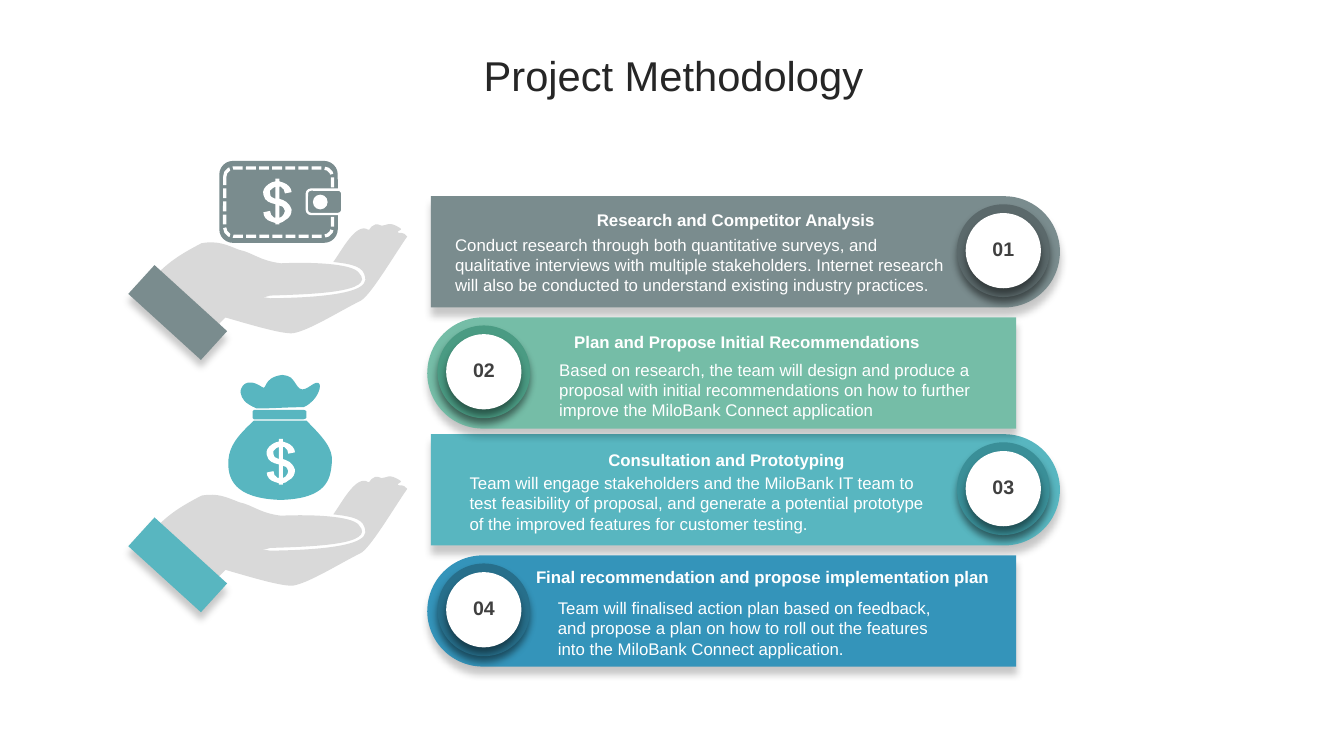
from dataclasses import dataclass
from lxml.etree import SubElement
from pptx import Presentation
from pptx.dml.color import RGBColor
from pptx.enum.dml import MSO_LINE
from pptx.enum.shapes import MSO_SHAPE
from pptx.enum.text import MSO_ANCHOR, MSO_AUTO_SIZE, PP_ALIGN
from pptx.oxml.ns import qn
from pptx.shapes.autoshape import Shape
from pptx.slide import Slide
from pptx.util import Pt


@dataclass(frozen=True)
class Theme:
    font: str = "Arial"
    title_size: float = 22.3
    text_size: float = 9
    number_size: float = 10.5
    title: str = "262626"
    number: str = "404040"
    white: str = "FFFFFF"
    hand: str = "D9D9D9"
    gray: str = "7A8C8E"
    gray_dark: str = "5B696B"
    green: str = "75BDA7"
    green_dark: str = "4A9B83"
    teal: str = "58B6C0"
    teal_dark: str = "3A8F98"
    blue: str = "3494BA"
    blue_dark: str = "276F8B"


@dataclass(frozen=True)
class Box:
    left: float
    top: float
    width: float
    height: float


@dataclass(frozen=True)
class Side:
    bar_center: float
    bar_length: float
    badge_center: float
    rotation: float


@dataclass(frozen=True)
class Step:
    number: str
    side: Side
    center: float
    color: str
    dark: str
    heading: str
    heading_box: Box
    heading_align: PP_ALIGN
    body: str
    body_box: Box


THEME = Theme()
RIGHT = Side(399.3, 337, 537.5, 90)
LEFT = Side(386.6, 315.4, 259.2, 270)
BAR_HEIGHT = 59.6
PATH_UNIT = 0.72
HAND_GAP = 135.2

STEPS = [
    Step("03", RIGHT, 262.4, THEME.teal, THEME.teal_dark,
         "Consultation and Prototyping", Box(196.6, 237.6, 262.8, 18), PP_ALIGN.RIGHT,
         "Team will engage stakeholders and the MiloBank IT team to test feasibility of proposal, "
         "and generate a potential prototype of the improved features for customer testing.",
         Box(244.5, 249.8, 259.2, 40.3)),
    Step("01", RIGHT, 134.9, THEME.gray, THEME.gray_dark,
         "Research and Competitor Analysis", Box(253, 108.7, 222.5, 18), PP_ALIGN.RIGHT,
         "Conduct research through both quantitative surveys, and qualitative interviews with "
         "multiple stakeholders. Internet research will also be conducted to understand existing "
         "industry practices.",
         Box(236.7, 122.1, 280.1, 40.3)),
    Step("04", LEFT, 327.3, THEME.blue, THEME.blue_dark,
         "Final recommendation and propose implementation plan",
         Box(280.1, 300.2, 259.2, 18), PP_ALIGN.LEFT,
         "Team will finalised action plan based on feedback, and propose a plan on how to roll "
         "out the features into the MiloBank Connect application.",
         Box(291.8, 316.8, 218.9, 40.3)),
    Step("02", LEFT, 199.8, THEME.green, THEME.green_dark,
         "Plan and Propose Initial Recommendations",
         Box(300.5, 174.2, 222.5, 18), PP_ALIGN.LEFT,
         "Based on research, the team will design and produce a proposal with initial "
         "recommendations on how to further improve the MiloBank Connect application",
         Box(292.5, 189, 236.2, 40.3)),
]

ARM = ["209 196, 231 195 262 196 267 203, 281 218 230 219 201 220, 195 222 184 223 179 225, "
       "165 239, 151 254, 105 214, 122 201 121 196 150 181, 162 179 168 182 178 186, "
       "188 188 193 194 209 196"]
PALM = ["248 195, 254 187 265 165 274 171, 275 173 276 164 284 168, 288 168 289 164 298 170, "
        "300 171 295 172 296 173, 297 174 300 172 303 176, 292 192 275 221 268 224, "
        "252 232 230 246 218 248, 207 249 169 236 145 230, 147 226 168 216 201 222, "
        "282 221 272 208 271 204, 269 197 256 196 248 195"]
DOLLAR = ["205 148, 205 139, 204 139 204 139 203 140, 201 141 200 143 201 144, "
          "201 147 203 147 205 148",
          "208 162, 208 162 209 162 210 161, 211 160 212 158 212 157, 211 154 210 153 208 153",
          "208 167, 205 167, 205 166, 204 166 203 165 202 165, 198 164 196 161 196 158, "
          "201 157, 201 159 202 161 204 162, 204 162 204 162 205 162, 205 152, "
          "201 151 197 150 196 145, 195 142 197 139 200 137, 202 136 203 135 205 135, "
          "205 133, 208 133, 208 135, 209 135 210 135 211 136, 214 137 217 140 217 143, "
          "212 144, 212 142 211 140 209 139, 208 139 208 139 208 139, 208 148, "
          "211 149 215 150 217 156, 217 159 216 162 212 164, 211 165 209 166 208 166"]
BAG = ["189 313, 228 313, 241 326 248 334 247 344, 246 357 243 371 209 372, "
       "174 371 169 356 170 342, 171 332 176 325 189 313",
       "189 305, 226 305, 227 305 228 306 228 306, 228 311, 228 311 227 312 226 312, "
       "189 312, 189 312 188 311 188 311, 188 306, 188 306 189 305 189 305",
       "210 279, 217 280 217 281 221 287, 226 295 233 283 237 285, 240 286 237 298 226 303, "
       "214 303 203 304 191 304, 182 300 180 297 179 292, 179 288 183 280 195 288, "
       "199 291 195 281 210 279"]


def centered(x: float, y: float, width: float, height: float) -> Box:
    return Box(x - width / 2, y - height / 2, width, height)


def place(box: Box) -> list[Pt]:
    return [Pt(value) for value in (box.left, box.top, box.width, box.height)]


def paint(shape: Shape, color: str) -> None:
    shape.shadow.inherit = False
    shape.fill.solid()
    shape.fill.fore_color.rgb = RGBColor.from_string(color)
    shape.line.fill.background()


def add_preset(slide: Slide, kind: MSO_SHAPE, box: Box, color: str, rotation: float = 0) -> Shape:
    shape = slide.shapes.add_shape(kind, *place(box))
    paint(shape, color)
    shape.rotation = rotation
    return shape


def outline(shape: Shape, width: float) -> None:
    shape.line.color.rgb = RGBColor.from_string(THEME.white)
    shape.line.width = Pt(width)


def cast_shadow(shape: Shape, opacity: int, distance: float) -> None:
    effects = shape._element.spPr.find(qn("a:effectLst"))
    shadow = SubElement(effects, qn("a:outerShdw"), blurRad=str(Pt(4)), dist=str(Pt(distance)),
                        dir="5400000", algn="t", rotWithShape="0")
    color = SubElement(shadow, qn("a:srgbClr"), val="000000")
    SubElement(color, qn("a:alpha"), val=str(opacity * 1000))


def add_text(slide: Slide, box: Box, text: str, size: float, color: str,
             align: PP_ALIGN = PP_ALIGN.LEFT, bold: bool = False) -> Shape:
    shape = slide.shapes.add_textbox(*place(box))
    frame = shape.text_frame
    frame.word_wrap = True
    frame.auto_size = MSO_AUTO_SIZE.SHAPE_TO_FIT_TEXT
    paragraph = frame.paragraphs[0]
    paragraph.alignment = align
    run = paragraph.add_run()
    run.text = text
    run.font.name = THEME.font
    run.font.size = Pt(size)
    run.font.bold = bold
    run.font.color.rgb = RGBColor.from_string(color)
    return shape


def read_contour(contour: str) -> list[list[tuple[int, int]]]:
    segments = [[int(number) for number in segment.split()] for segment in contour.split(",")]
    return [list(zip(numbers[::2], numbers[1::2])) for numbers in segments]


def add_outline(slide: Slide, contours: list[str], color: str,
                right: float = 0, down: float = 0) -> None:
    outlines = [read_contour(contour) for contour in contours]
    builder = slide.shapes.build_freeform(*outlines[0][0][0], scale=Pt(PATH_UNIT))
    for index, segments in enumerate(outlines):
        if index:
            builder.move_to(*segments[0][0])
        builder.add_line_segments([segment[-1] for segment in segments[1:]], close=True)
    shape = builder.convert_to_shape(Pt(right), Pt(down))
    paint(shape, color)
    anchors = [segment[-1] for segments in outlines for segment in segments]
    left, top = (min(values) for values in zip(*anchors))
    drawn = [segment for segments in outlines for segment in segments[1:]]
    for line, segment in zip(list(shape._element.iter(qn("a:lnTo"))), drawn):
        if len(segment) == 3:
            curve = line.makeelement(qn("a:cubicBezTo"))
            for x, y in segment:
                SubElement(curve, qn("a:pt"), x=str(x - left), y=str(y - top))
            line.getparent().replace(line, curve)


def add_step(slide: Slide, step: Step) -> None:
    side = step.side
    bar = add_preset(slide, MSO_SHAPE.ROUND_2_SAME_RECTANGLE,
                     centered(side.bar_center, step.center, BAR_HEIGHT, side.bar_length),
                     step.color, side.rotation)
    bar.adjustments[0] = 0.5
    bar.adjustments[1] = 0
    cast_shadow(bar, 22, 4)
    for diameter, color in ((49.7, step.dark), (40.3, THEME.white)):
        disc = add_preset(slide, MSO_SHAPE.OVAL,
                          centered(side.badge_center, step.center - 0.6, diameter, diameter), color)
        cast_shadow(disc, 43, 3)
    add_text(slide, centered(side.badge_center, step.center - 1.4, 29.5, 20.2), step.number,
             THEME.number_size, THEME.number, PP_ALIGN.CENTER, True)
    add_text(slide, step.body_box, step.body, THEME.text_size, THEME.white)
    add_text(slide, step.heading_box, step.heading, THEME.text_size, THEME.white,
             step.heading_align, True)


def add_hand(slide: Slide, down: float, cuff_color: str) -> None:
    add_outline(slide, ARM, THEME.hand, down=down)
    add_outline(slide, PALM, THEME.hand, down=down)
    cuff = add_preset(slide, MSO_SHAPE.RECTANGLE, Box(84.8, 141.1 + down, 20.9, 52.6),
                      cuff_color, 312.3)
    cast_shadow(cuff, 22, 4)


def add_wallet(slide: Slide) -> None:
    add_preset(slide, MSO_SHAPE.ROUNDED_RECTANGLE, Box(117.5, 86.2, 63.5, 43.9), THEME.gray)
    stitching = add_preset(slide, MSO_SHAPE.ROUNDED_RECTANGLE, Box(120.4, 90, 57.7, 36.6),
                           THEME.gray)
    stitching.fill.background()
    stitching.adjustments[0] = 0.13
    outline(stitching, 1.75)
    stitching.line.dash_style = MSO_LINE.SQUARE_DOT
    clasp = add_preset(slide, MSO_SHAPE.ROUNDED_RECTANGLE, Box(164.4, 101.6, 19, 13), THEME.gray)
    outline(clasp, 1.25)
    add_preset(slide, MSO_SHAPE.OVAL, Box(167.6, 104.3, 7.9, 7.9), THEME.white)
    add_outline(slide, DOLLAR, THEME.white)


def main() -> None:
    presentation = Presentation()
    presentation.slide_width = Pt(720)
    presentation.slide_height = Pt(405)
    slide = presentation.slides.add_slide(presentation.slide_layouts[6])
    title = add_text(slide, Box(19.2, 20.2, 683.3, 42.5), "Project Methodology",
                     THEME.title_size, THEME.title, PP_ALIGN.CENTER)
    title.text_frame.auto_size = MSO_AUTO_SIZE.NONE
    title.text_frame.vertical_anchor = MSO_ANCHOR.MIDDLE
    title.text_frame.paragraphs[0].line_spacing = 0.95
    for step in STEPS:
        add_step(slide, step)
    add_hand(slide, HAND_GAP, THEME.teal)
    add_hand(slide, 0, THEME.gray)
    add_wallet(slide)
    add_outline(slide, BAG, THEME.teal)
    add_outline(slide, DOLLAR, THEME.white, 1.8, 139.4)
    presentation.save("out.pptx")


if __name__ == "__main__":
    main()
